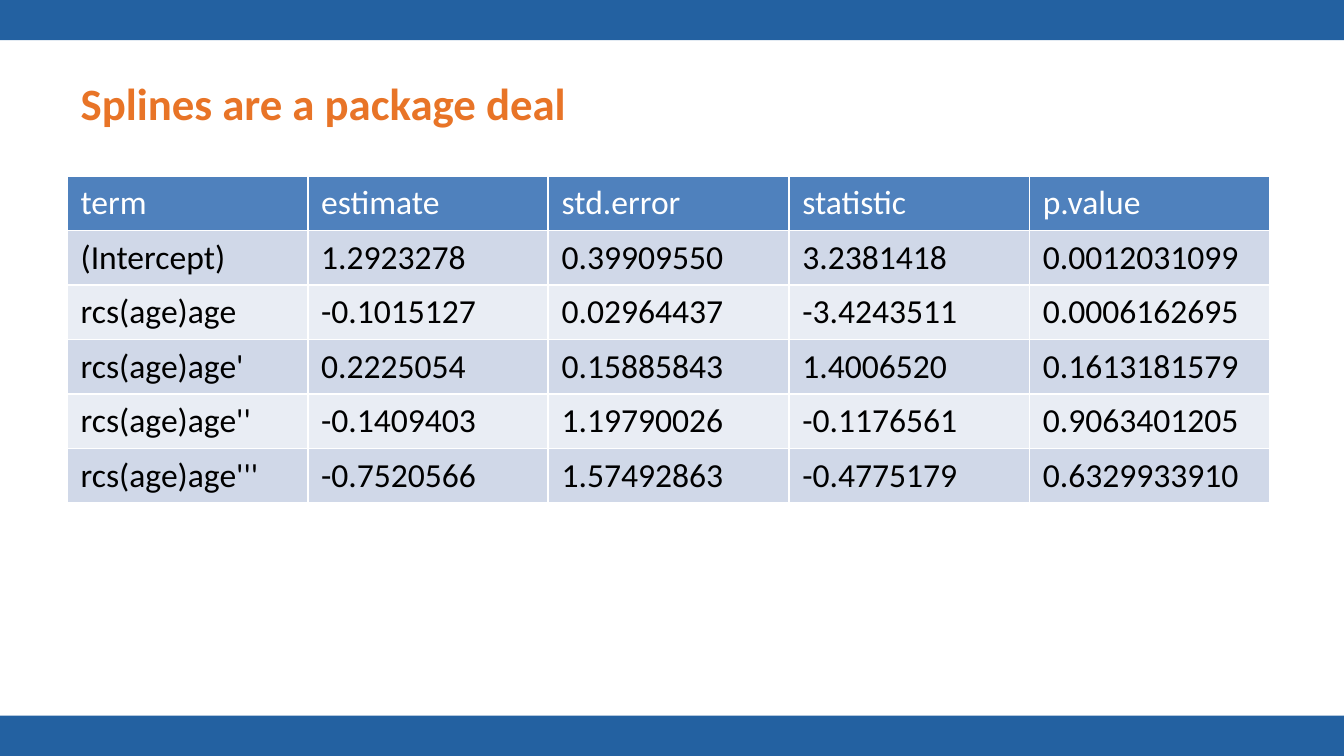
from lxml import etree
from pptx import Presentation
from pptx.dml.color import RGBColor
from pptx.enum.shapes import MSO_SHAPE
from pptx.enum.text import MSO_ANCHOR, PP_ALIGN
from pptx.oxml.ns import qn
from pptx.util import Inches, Pt

RECTANGLE = MSO_SHAPE.RECTANGLE
MIDDLE = MSO_ANCHOR.MIDDLE
LEFT = PP_ALIGN.LEFT
TITLE_ONLY = 5
WIDTH = 10
HEIGHT = WIDTH * 9 / 16

COEFFICIENTS = [
    ["term", "estimate", "std.error", "statistic", "p.value"],
    ["(Intercept)", "1.2923278", "0.39909550", "3.2381418", "0.0012031099"],
    ["rcs(age)age", "-0.1015127", "0.02964437", "-3.4243511", "0.0006162695"],
    ["rcs(age)age'", "0.2225054", "0.15885843", "1.4006520", "0.1613181579"],
    ["rcs(age)age''", "-0.1409403", "1.19790026", "-0.1176561", "0.9063401205"],
    ["rcs(age)age'''", "-0.7520566", "1.57492863", "-0.4775179", "0.6329933910"],
]


def colour(value):
    return RGBColor.from_string(value)


class SlideWriter:
    font = "Calibri"
    bar_fill = "2361A1"
    title_ink = "E87427"
    header_fill = "4F81BD"
    band_fills = ("D0D8E8", "E9EDF4")
    rule = "FFFFFF"

    def __init__(self, page):
        self.page = page

    def format_text(self, frame, size, ink, bold=False):
        for para in frame.paragraphs:
            para.alignment = LEFT
            for span in para.runs:
                span.font.name = self.font
                span.font.size = Pt(size)
                span.font.bold = bold
                span.font.color.rgb = colour(ink)

    def bar(self, top, height):
        box = self.page.shapes.add_shape(
            RECTANGLE, 0, Inches(top), Inches(WIDTH), Inches(height))
        box.shadow.inherit = False
        box.fill.solid()
        box.fill.fore_color.rgb = colour(self.bar_fill)
        box.line.fill.background()

    def title(self, text, left, top, width, height):
        box = self.page.shapes.title
        box.left, box.top = Inches(left), Inches(top)
        box.width, box.height = Inches(width), Inches(height)
        frame = box.text_frame
        frame.text = text
        frame.vertical_anchor = MIDDLE
        self.format_text(frame, 24, self.title_ink, bold=True)

    def borders(self, cell):
        properties = cell._tc.get_or_add_tcPr()
        for index, side in enumerate(("a:lnL", "a:lnR", "a:lnT", "a:lnB")):
            line = etree.Element(qn(side), w=str(Pt(1)))
            fill = etree.SubElement(line, qn("a:solidFill"))
            etree.SubElement(fill, qn("a:srgbClr"), val=self.rule)
            properties.insert(index, line)

    def table(self, rows, left, top, column_width, row_height):
        columns = len(rows[0])
        grid = self.page.shapes.add_table(
            len(rows), columns, Inches(left), Inches(top),
            Inches(column_width * columns), Inches(row_height * len(rows))).table
        for column in grid.columns:
            column.width = Inches(column_width)
        for r, values in enumerate(rows):
            fill = self.band_fills[(r - 1) % 2] if r else self.header_fill
            ink = "000000" if r else "FFFFFF"
            for c, value in enumerate(values):
                cell = grid.cell(r, c)
                cell.text_frame.text = value
                cell.fill.solid()
                cell.fill.fore_color.rgb = colour(fill)
                self.format_text(cell.text_frame, 18, ink)
                self.borders(cell)


def main():
    deck = Presentation()
    deck.slide_width, deck.slide_height = Inches(WIDTH), Inches(HEIGHT)
    page = deck.slides.add_slide(deck.slide_layouts[TITLE_ONLY])
    writer = SlideWriter(page)
    bar_height = 0.3
    for top in (0, HEIGHT - bar_height):
        writer.bar(top, bar_height)
    writer.title("Splines are a package deal", 0.5, 0.29, 9, 0.94)
    writer.table(COEFFICIENTS, 0.5, 1.31, 1.79, 0.4)
    deck.save("out.pptx")


if __name__ == "__main__":
    main()
